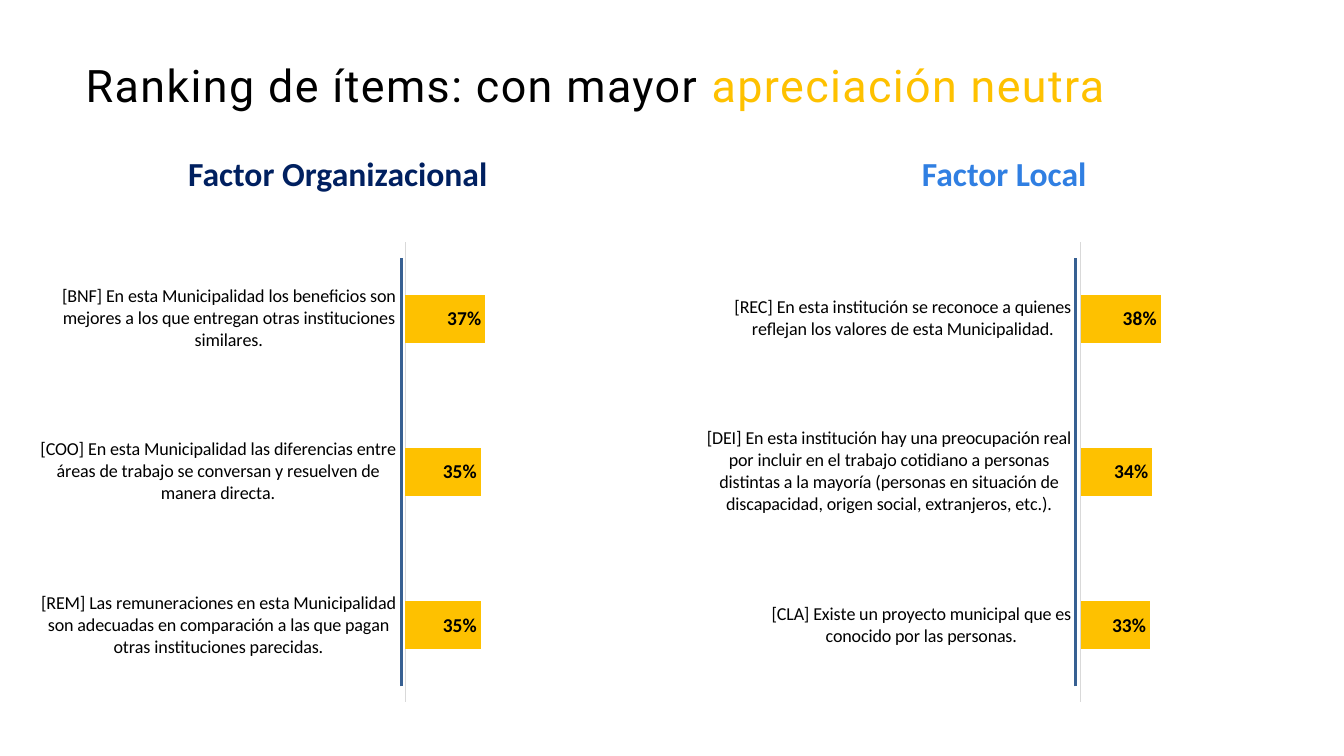
from lxml import etree
from pptx import Presentation
from pptx.chart.data import CategoryChartData
from pptx.dml.color import RGBColor
from pptx.enum.chart import XL_CHART_TYPE as ChartType
from pptx.enum.chart import XL_LABEL_POSITION as LabelPosition
from pptx.enum.chart import XL_TICK_LABEL_POSITION as TickLabels
from pptx.enum.chart import XL_TICK_MARK as TickMark
from pptx.enum.shapes import MSO_CONNECTOR as Connector
from pptx.enum.text import MSO_ANCHOR as Anchor
from pptx.enum.text import PP_ALIGN as Align
from pptx.oxml.ns import qn
from pptx.util import Inches, Pt

YELLOW, BLACK = "FEC100", "000000"

# Each factor: heading, colour, heading left, chart left, axis offset and width, line x, items
FACTORS = [
    ("Factor Organizacional", "002060", 0.83, 0.4, 3.6, 2.17, 3.98, [
        ("[REM] Las remuneraciones en esta Municipalidad son adecuadas en comparación "
         "a las que pagan otras instituciones parecidas.", 0.35),
        ("[COO] En esta Municipalidad las diferencias entre áreas de trabajo "
         "se conversan y resuelven de manera directa.", 0.35),
        ("[BNF] En esta Municipalidad los beneficios son mejores "
         "a los que entregan otras instituciones similares.", 0.37),
    ]),
    ("Factor Local", "307FE2", 7.44, 7.01, 3.68, 2.12, 10.67, [
        ("[CLA] Existe un proyecto municipal que es conocido por las personas.", 0.33),
        ("[DEI] En esta institución hay una preocupación real por incluir en el trabajo "
         "cotidiano a personas distintas a la mayoría (personas en situación de "
         "discapacidad, origen social, extranjeros, etc.).", 0.34),
        ("[REC] En esta institución se reconoce a quienes reflejan "
         "los valores de esta Municipalidad.", 0.38),
    ]),
]


def color(value):
    return RGBColor.from_string(value)


def set_font(font, name, size, value, bold=False):
    font.name, font.size, font.bold = name, Pt(size), bold
    font.color.rgb = color(value)


def add_text(slide, box, line_spacing=0.9):
    shape = slide.shapes.add_textbox(*map(Inches, box))
    frame = shape.text_frame
    frame.word_wrap = True
    frame.vertical_anchor = Anchor.MIDDLE
    frame.paragraphs[0].line_spacing = line_spacing
    return frame


def add_title(slide, box):
    frame = add_text(slide, box)
    frame.margin_left = frame.margin_right = frame.margin_top = frame.margin_bottom = 0
    for text, value in [("Ranking de ítems: con mayor ", BLACK),
                        ("apreciación neutra", YELLOW)]:
        run = frame.paragraphs[0].add_run()
        run.text = text
        set_font(run.font, "Roboto", 32, value)
        run.font._element.set("spc", "100")


def add_heading(slide, box, text, value):
    paragraph = add_text(slide, box).paragraphs[0]
    paragraph.text = text
    paragraph.alignment = Align.CENTER
    set_font(paragraph.font, "Calibri", 24, value, True)


def place_plot(chart, x, y, width, height):
    """Fix the inner plot area, given as fractions of the chart."""
    plot_area = chart._chartSpace.chart.plotArea
    for old in plot_area.findall(qn("c:layout")):
        plot_area.remove(old)
    layout = etree.Element(qn("c:layout"))
    manual = etree.SubElement(layout, qn("c:manualLayout"))
    for tag, value in [("layoutTarget", "inner"), ("xMode", "edge"), ("yMode", "edge"),
                       ("x", x), ("y", y), ("w", width), ("h", height)]:
        etree.SubElement(manual, qn("c:" + tag)).set("val", str(value))
    plot_area.insert(0, layout)


def add_ranking(slide, box, axis_offset, axis_width, items):
    data = CategoryChartData(number_format="0%")
    data.categories = [item for item, share in items]
    data.add_series("Series 1", [share for item, share in items])
    chart = slide.shapes.add_chart(
        ChartType.BAR_CLUSTERED, *map(Inches, box), data).chart
    chart.has_legend = chart.has_title = False
    set_font(chart.font, "Calibri", 10, "FFFFFF")
    place_plot(chart, round(axis_offset / box[2], 3), 0.02,
               round(axis_width / box[2], 3), 0.96)

    # Axes
    category_axis, value_axis = chart.category_axis, chart.value_axis
    category_axis.major_tick_mark = category_axis.minor_tick_mark = TickMark.NONE
    category_axis.tick_label_position = TickLabels.LOW
    category_axis.format.line.color.rgb = color("D9D9D9")
    category_axis.format.line.width = Pt(0.75)
    set_font(category_axis.tick_labels.font, "Calibri", 13, BLACK)
    value_axis.minimum_scale, value_axis.maximum_scale = 0, 1
    value_axis.has_major_gridlines = value_axis.visible = False

    # Bars and their labels
    plot = chart.plots[0]
    plot.gap_width, plot.vary_by_categories = 219, False
    series = plot.series[0]
    series.format.fill.solid()
    series.format.fill.fore_color.rgb = color(YELLOW)
    labels = series.data_labels
    labels.show_value = True
    labels.position = LabelPosition.INSIDE_END
    labels.number_format, labels.number_format_is_linked = "0%", False
    set_font(labels.font, "Calibri", 14, BLACK, True)


def add_axis_line(slide, x, top, bottom):
    line = slide.shapes.add_connector(
        Connector.STRAIGHT, *map(Inches, (x, bottom, x, top)))
    line.line.color.rgb = color("376092")
    line.line.width = Pt(2)
    etree.SubElement(line._element.spPr, qn("a:effectLst"))


def add_factor(slide, heading, value, heading_left, chart_left,
               axis_offset, axis_width, line_x, items):
    add_heading(slide, (heading_left, 1.58, 5.04, 0.33), heading, value)
    add_ranking(slide, (chart_left, 2.31, 5.91, 4.75), axis_offset, axis_width, items)
    add_axis_line(slide, line_x, 2.56, 6.81)


def main():
    presentation = Presentation()
    presentation.slide_width, presentation.slide_height = Inches(13.33), Inches(7.5)
    slide = presentation.slides.add_slide(presentation.slide_layouts[6])
    add_title(slide, (0.85, 0.34, 11.78, 1.06))
    for factor in FACTORS:
        add_factor(slide, *factor)
    presentation.save("out.pptx")


if __name__ == "__main__":
    main()
